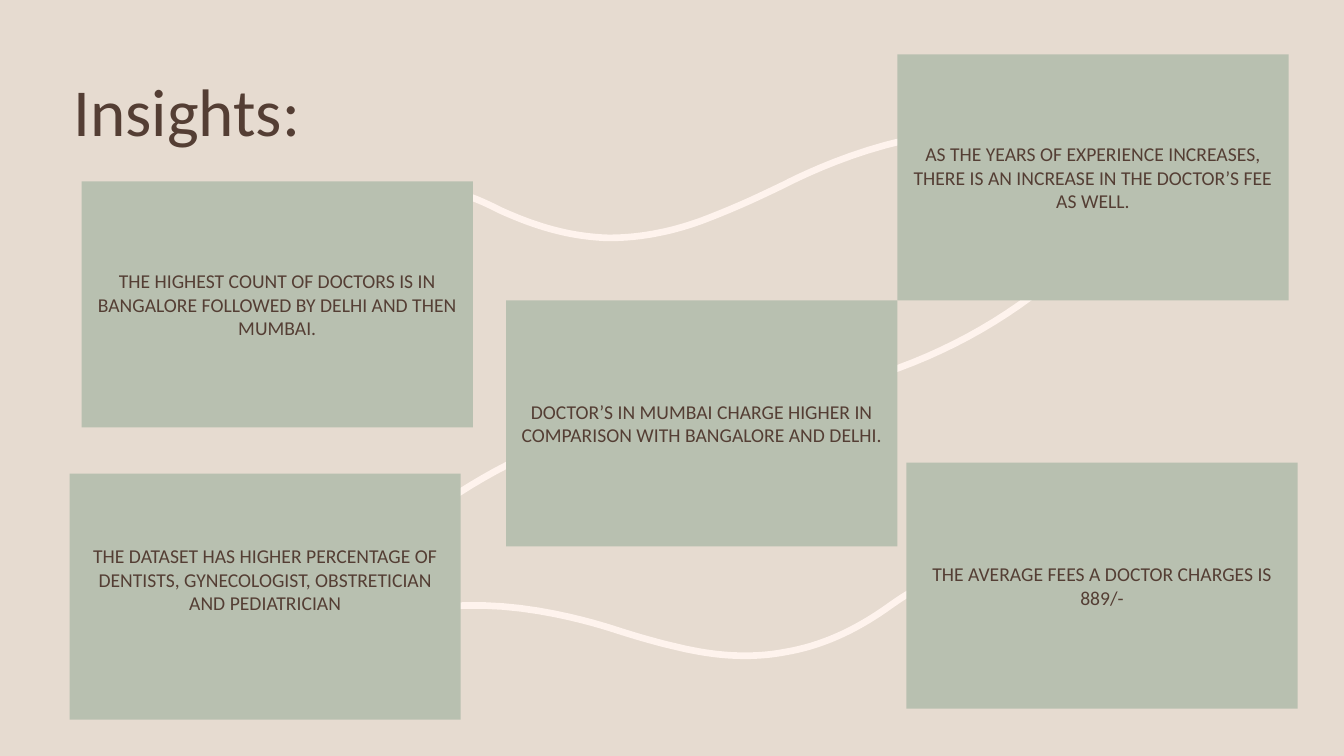
from pptx import Presentation
from pptx.dml.color import RGBColor
from pptx.enum import shapes, text
from pptx.util import Inches, Pt

# Content
TITLE = "Insights:"
INSIGHTS = [  # left, top, bottom text inset, wording
    (0.81, 1.80, 0.05, "THE HIGHEST COUNT OF DOCTORS IS IN BANGALORE FOLLOWED BY DELHI AND THEN MUMBAI."),
    (8.90, 0.54, 0.05, "AS THE YEARS OF EXPERIENCE INCREASES, THERE IS AN INCREASE IN THE DOCTOR’S FEE AS WELL."),
    (5.02, 2.98, 0.05, "DOCTOR’S IN MUMBAI CHARGE HIGHER IN COMPARISON WITH BANGALORE AND DELHI."),
    (0.69, 4.70, 0.39, "THE DATASET HAS HIGHER PERCENTAGE OF DENTISTS, GYNECOLOGIST, OBSTRETICIAN AND PEDIATRICIAN"),
    (8.99, 4.59, 0.05, "THE AVERAGE FEES A DOCTOR CHARGES IS 889/-"),
]
CARD_WIDTH, CARD_HEIGHT = 3.88, 2.44

# Each ribbon: a start point, then two control points and an end per curve
RIBBONS = [
    [(8.33, 3.83), (9.13, 3.63), (9.85, 3.27), (10.47, 2.75)],
    [(5.84, 4.28), (5.09, 4.52), (4.45, 4.90), (3.89, 5.39)],
    [(3.07, 2.23), (3.50, 1.87), (3.98, 1.77), (4.49, 1.90),
     (4.66, 1.94), (4.81, 2.01), (4.97, 2.09),
     (5.30, 2.24), (5.65, 2.35), (6.04, 2.36),
     (6.37, 2.36), (6.70, 2.29), (7.01, 2.17),
     (7.37, 2.03), (7.57, 1.93), (7.78, 1.83),
     (8.01, 1.71), (9.40, 1.03), (10.27, 1.46)],
    [(9.20, 5.79), (9.04, 5.86), (8.91, 5.95), (8.77, 6.05),
     (8.48, 6.25), (8.15, 6.41), (7.78, 6.47),
     (7.46, 6.53), (7.14, 6.51), (6.81, 6.44),
     (6.45, 6.36), (6.24, 6.29), (6.02, 6.22),
     (5.78, 6.15), (4.34, 5.70), (3.47, 6.36)],
]
CURVE_STEPS = 16

SAND = RGBColor(0xE6, 0xDB, 0xD0)
SAGE = RGBColor(0xB8, 0xC0, 0xB0)
CREAM = RGBColor(0xFE, 0xF3, 0xED)
BROWN = RGBColor(0x54, 0x3E, 0x34)
FONT = "Calibri"


def write(holder, wording, size, align=text.PP_ALIGN.LEFT, spacing=1.0, bottom=0.05):
    frame = holder.text_frame
    frame.word_wrap = True
    frame.vertical_anchor = text.MSO_ANCHOR.MIDDLE
    frame.margin_bottom = Inches(bottom)
    paragraph = frame.paragraphs[0]
    paragraph.alignment = align
    paragraph.line_spacing = spacing
    run = paragraph.add_run()
    run.text = wording
    run.font.name = FONT
    run.font.size = Pt(size)
    run.font.color.rgb = BROWN


def trace(knots):
    """Points along a chain of cubic Bézier curves."""
    points = [knots[0]]
    for first in range(0, len(knots) - 1, 3):
        a, b, c, d = knots[first:first + 4]
        for step in range(1, CURVE_STEPS + 1):
            t = step / CURVE_STEPS
            u = 1 - t
            points.append(tuple(
                u**3 * a[i] + 3 * u**2 * t * b[i] + 3 * u * t**2 * c[i] + t**3 * d[i]
                for i in (0, 1)))
    return [(Inches(x), Inches(y)) for x, y in points]


def main():
    deck = Presentation()
    deck.slide_width, deck.slide_height = Inches(13.33), Inches(7.5)
    slide = deck.slides.add_slide(deck.slide_layouts[6])
    slide.background.fill.solid()
    slide.background.fill.fore_color.rgb = SAND

    # Ribbons behind the cards
    for knots in RIBBONS:
        start, *rest = trace(knots)
        builder = slide.shapes.build_freeform(*start)
        builder.add_line_segments(rest, close=False)
        ribbon = builder.convert_to_shape()
        ribbon.shadow.inherit = False
        ribbon.fill.background()
        ribbon.line.color.rgb = CREAM
        ribbon.line.width = Pt(4.75)

    # Title
    title = slide.shapes.add_textbox(Inches(0.63), Inches(0.77), Inches(10), Inches(0.74))
    write(title, TITLE, 48, spacing=0.9)

    # Insight cards
    for left, top, bottom, wording in INSIGHTS:
        card = slide.shapes.add_shape(
            shapes.MSO_SHAPE.RECTANGLE, Inches(left), Inches(top),
            Inches(CARD_WIDTH), Inches(CARD_HEIGHT))
        card.shadow.inherit = False
        card.fill.solid()
        card.fill.fore_color.rgb = SAGE
        card.line.fill.background()
        write(card, wording, 14, align=text.PP_ALIGN.CENTER, bottom=bottom)

    deck.save("out.pptx")


if __name__ == "__main__":
    main()
